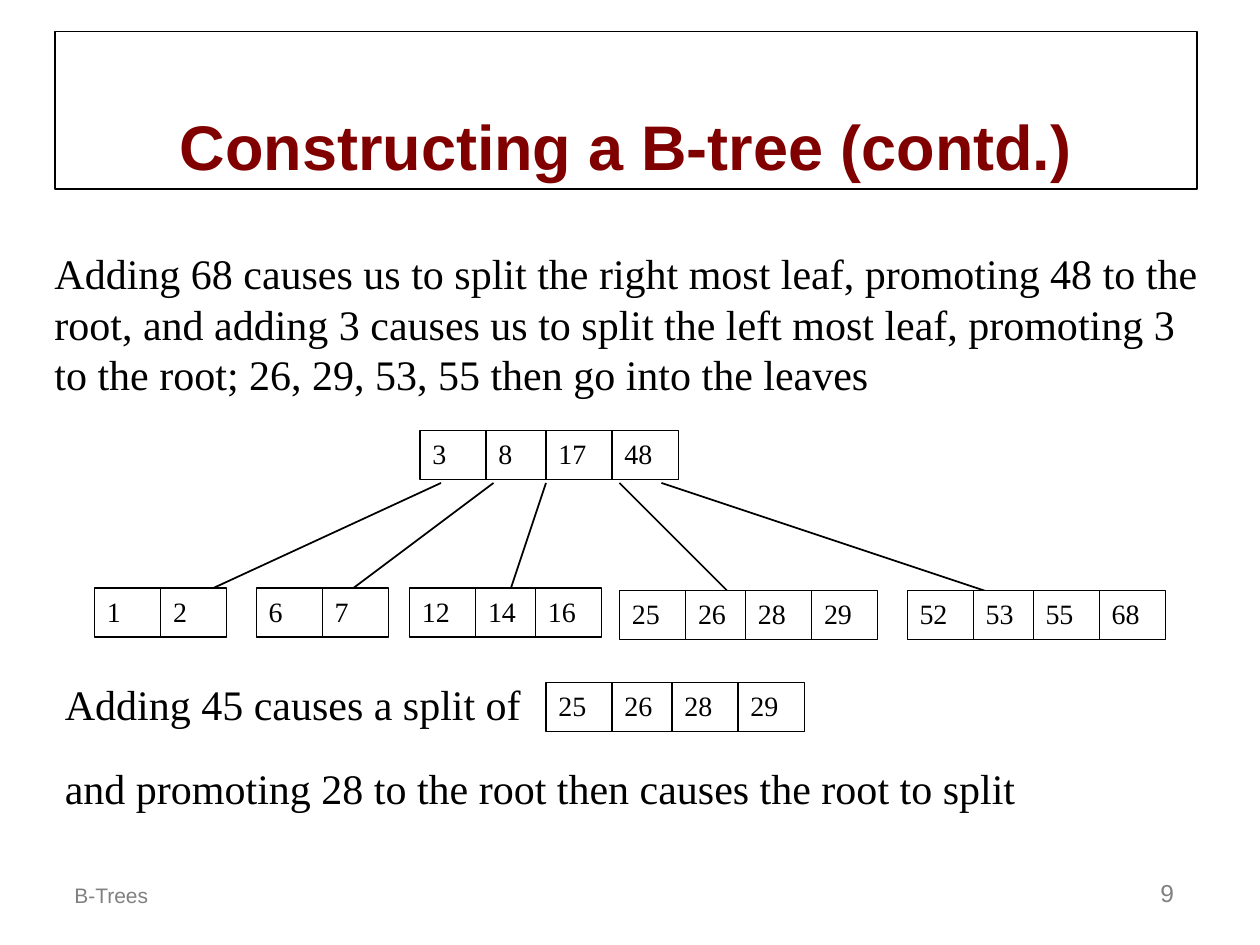
from dataclasses import dataclass

from lxml import etree
from pptx import Presentation
from pptx.dml.color import RGBColor
from pptx.enum import shapes, text
from pptx.oxml import ns
from pptx.util import Emu, Inches, Pt

UNIT = Inches(1) / 12
CELL_COLS = (0, 6.3, 12, 18.3)
CELL_WIDTH, CELL_HEIGHT = 6.3, 4.67
SERIF, SANS = "Times New Roman", "Arial"
BLACK, WHITE, MAROON, GRAY = "000000", "FFFFFF", "800000", "808080"


@dataclass(frozen=True)
class Node:
    col: float
    row: float
    keys: tuple[int, ...]


@dataclass(frozen=True)
class Branch:
    start_col: float
    end_col: float


@dataclass(frozen=True)
class Label:
    words: str
    col: float
    row: float
    width: float
    height: float
    size: float = 24
    font: str = SERIF
    color: str = BLACK
    before: float = 15
    bold: bool = False
    outlined: bool = False
    grow: bool = True
    anchor: text.MSO_ANCHOR = text.MSO_ANCHOR.TOP
    align: text.PP_ALIGN = text.PP_ALIGN.LEFT


BOTTOM = text.MSO_ANCHOR.BOTTOM
TITLE = Label("Constructing a B-tree (contd.)", 5.25, 3, 108.75, 15, 36, SANS, MAROON,
              0, True, True, False, BOTTOM, text.PP_ALIGN.CENTER)
INTRO = Label("Adding 68 causes us to split the right most leaf, promoting 48 to the root, "
              "and adding 3 causes us to split the left most leaf, promoting 3 to the root; "
              "26, 29, 53, 55 then go into the leaves", 4, 23, 112, 15.6)
SPLIT = Label("Adding 45 causes a split of", 5, 64, 48, 6)
PROMOTE = Label("and promoting 28 to the root then causes the root to split", 5, 72, 109, 6)
FOOTER = Label("B-Trees", 5.9, 81, 36, 6, 12, SANS, GRAY, 7.5, grow=False, anchor=BOTTOM)
NUMBER = Label("9", 88, 81, 25, 6, 14, SANS, GRAY, 8.8, grow=False, anchor=BOTTOM,
               align=text.PP_ALIGN.RIGHT)

TREE = (
    Node(40, 41, (3, 8, 17, 48)),
    Node(86.4, 56.25, (52, 53, 55, 68)),
    Node(59, 56.25, (25, 26, 28, 29)),
    Node(9, 56, (1, 2)),
    Node(24.4, 56, (6, 7)),
    Node(39, 56, (12, 14, 16)),
)
SPLIT_NODE = Node(52, 65, (25, 26, 28, 29))
BRANCH_TOP, BRANCH_BOTTOM = 46, 58
BRANCHES = (Branch(42, 16), Branch(47, 31), Branch(52, 48), Branch(59, 71), Branch(63, 99))


def grid(*units: float) -> list[Emu]:
    return [Emu(round(n * UNIT)) for n in units]


def rgb(value: str) -> RGBColor:
    return RGBColor.from_string(value)


def outline(sp, width: float) -> None:
    sp.line.color.rgb = rgb(BLACK)
    sp.line.width = Pt(width)


def write(sp, words: str, size: float, font: str, color: str):
    p = sp.text_frame.paragraphs[0]
    p.text = words
    p.font.size, p.font.name = Pt(size), font
    p.font.color.rgb = rgb(color)
    return p


def draw_label(parent, label: Label) -> None:
    sp = parent.add_textbox(*grid(label.col, label.row, label.width, label.height))
    tf = sp.text_frame
    tf.word_wrap = True
    tf.vertical_anchor = label.anchor
    if label.grow:
        tf.auto_size = text.MSO_AUTO_SIZE.SHAPE_TO_FIT_TEXT
    if label.outlined:
        outline(sp, 0.75)
    p = write(sp, label.words, label.size, label.font, label.color)
    p.font.bold = label.bold
    p.alignment = label.align
    p.space_before = Pt(label.before)


def draw_node(parent, node: Node) -> None:
    for col, key in zip(CELL_COLS, node.keys):
        sp = parent.add_shape(shapes.MSO_SHAPE.RECTANGLE,
                              *grid(node.col + col, node.row, CELL_WIDTH, CELL_HEIGHT))
        sp.shadow.inherit = False
        sp.fill.solid()
        sp.fill.fore_color.rgb = rgb(WHITE)
        outline(sp, 0.75)
        sp.text_frame.vertical_anchor = text.MSO_ANCHOR.TOP
        write(sp, str(key), 16, SERIF, BLACK).alignment = text.PP_ALIGN.LEFT


def draw_branch(parent, branch: Branch) -> None:
    line = parent.add_connector(shapes.MSO_CONNECTOR.STRAIGHT,
                                *grid(branch.start_col, BRANCH_TOP, branch.end_col, BRANCH_BOTTOM))
    outline(line, 1)
    etree.SubElement(line._element.spPr, ns.qn("a:effectLst"))


def main() -> None:
    prs = Presentation()
    prs.slide_width, prs.slide_height = grid(120, 90)
    s = prs.slides.add_slide(prs.slide_layouts[6])
    for branch in BRANCHES:
        draw_branch(s.shapes, branch)
    for label in (TITLE, INTRO):
        draw_label(s.shapes, label)
    for node in TREE:
        draw_node(s.shapes, node)
    group = s.shapes.add_group_shape().shapes
    draw_label(group, SPLIT)
    draw_node(group, SPLIT_NODE)
    draw_label(group, PROMOTE)
    for label in (FOOTER, NUMBER):
        draw_label(s.shapes, label)
    prs.save("out.pptx")


if __name__ == "__main__":
    main()
